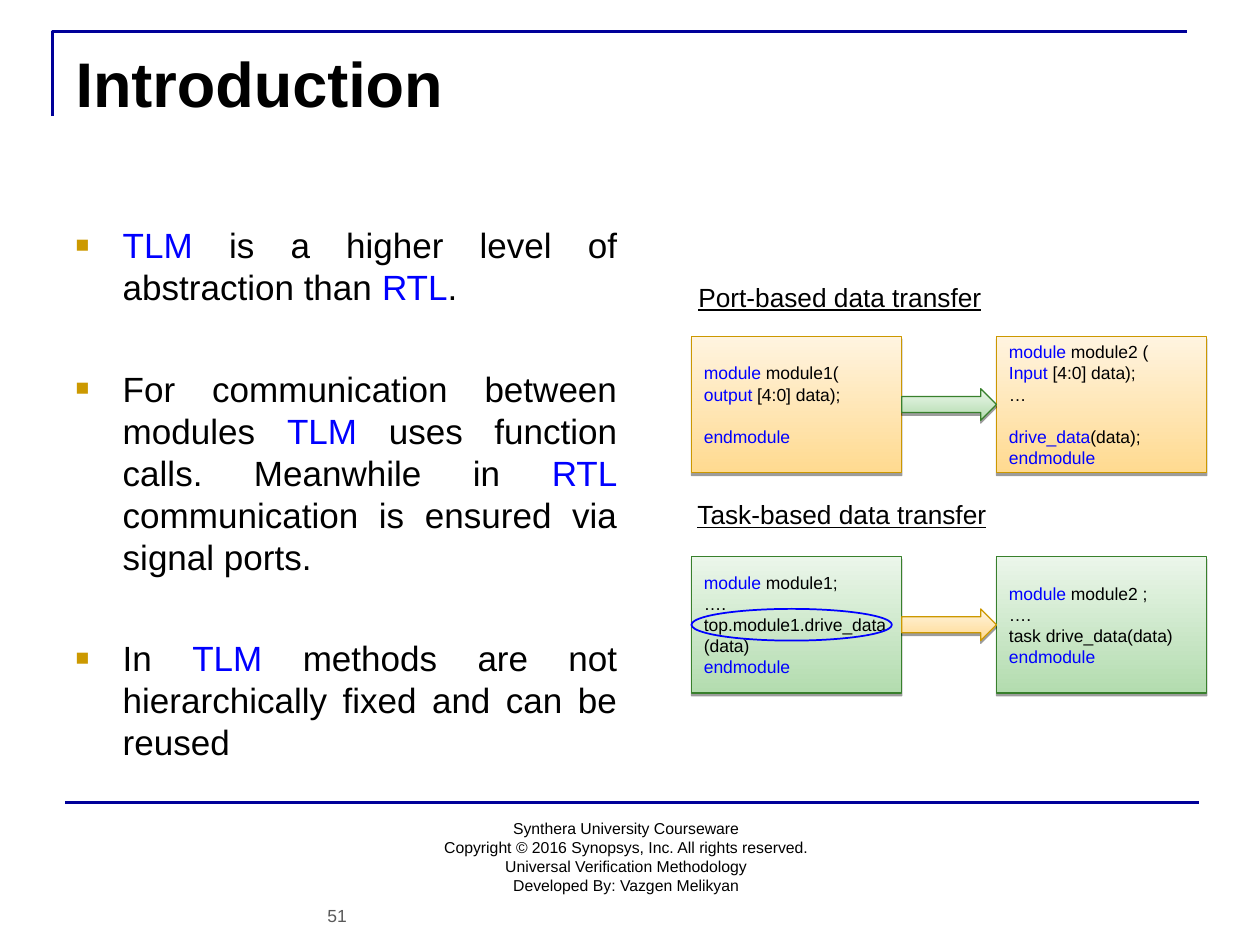
from lxml import etree
from pptx import Presentation
from pptx.dml.color import RGBColor
from pptx.enum.shapes import MSO_CONNECTOR, MSO_SHAPE
from pptx.enum.text import MSO_ANCHOR, MSO_AUTO_SIZE, PP_ALIGN
from pptx.oxml import parse_xml
from pptx.oxml.ns import nsdecls, qn
from pptx.util import Cm, Pt

LEFT, CENTER, JUSTIFY = PP_ALIGN.LEFT, PP_ALIGN.CENTER, PP_ALIGN.JUSTIFY
TOP, MIDDLE = MSO_ANCHOR.TOP, MSO_ANCHOR.MIDDLE
RECTANGLE, ARROW, OVAL = MSO_SHAPE.RECTANGLE, MSO_SHAPE.RIGHT_ARROW, MSO_SHAPE.OVAL

BLACK, BLUE, NAVY, GRAY, GOLD = "000000", "0000FF", "000099", "595959", "CC9900"
# dark end, light end, outline
ORANGE_BOX = ("FFDA90", "FFF4E0", "CC9800")
GREEN_BOX = ("B3DCAF", "EBF6EA", "38802C")

# Words between asterisks are blue; an empty code line is a gap.
TITLE = "Introduction"
BULLETS = [
    "*TLM* is a higher level of abstraction than *RTL*.",
    "For communication between modules *TLM* uses function calls. "
    "Meanwhile in *RTL* communication is ensured via signal ports.",
    "In *TLM* methods are not hierarchically fixed and can be reused",
]
FOOTER = [
    "Synthera University Courseware",
    "Copyright © 2016 Synopsys, Inc. All rights reserved.",
    "Universal Verification Methodology",
    "Developed By: Vazgen Melikyan",
]
PAGE_NUMBER = "51"
DIAGRAMS = [
    {
        "heading": "Port-based data transfer", "heading_at": (13.83, 5.54, 6.8, 0.89),
        "top": 6.78, "boxes": ORANGE_BOX, "arrow": GREEN_BOX,
        "modules": [
            ["*module* module1(", "*output* [4:0] data);", "", "*endmodule*"],
            ["*module* module2 (", "*Input* [4:0] data);", "…", "",
             "*drive_data*(data);", "*endmodule*"],
        ],
    },
    {
        "heading": "Task-based data transfer", "heading_at": (13.81, 9.92, 6.8, 0.89),
        "top": 11.22, "boxes": GREEN_BOX, "arrow": ORANGE_BOX,
        "modules": [
            ["*module* module1;", "….", "top.module1.drive_data(data)", "*endmodule*"],
            ["*module* module2 ;", "….", "task drive_data(data)", "*endmodule*"],
        ],
    },
]
BOX_LEFTS, BOX_WIDTH, BOX_HEIGHT = (13.94, 20.09), 4.24, 2.75
ARROW_HEIGHT, CALL_WIDTH = 0.64, 4.04
CODE_LINE = 12


def rgb(color):
    return RGBColor.from_string(color)


def place(shape, left, top, width, height):
    shape.left, shape.top = Cm(left), Cm(top)
    shape.width, shape.height = Cm(width), Cm(height)


def write(paragraph, text, size, color=BLACK, bold=False, underline=False):
    """Fill a paragraph, turning the words between asterisks blue."""
    for index, part in enumerate(text.split("*")):
        if part:
            run = paragraph.add_run()
            run.text = part
            font = run.font
            font.name, font.size, font.bold = "Arial", Pt(size), bold
            font.underline = underline
            font.color.rgb = rgb(BLUE if index % 2 else color)


def write_lines(text_frame, lines, size, align=LEFT, gap=0, **style):
    space = 0
    paragraph = text_frame.paragraphs[0]
    for number, line in enumerate(lines):
        if not line:
            space = CODE_LINE
            continue
        if number:
            paragraph = text_frame.add_paragraph()
            space += gap
        paragraph.alignment = align
        paragraph.space_before = Pt(space)
        write(paragraph, line, size, **style)
        space = 0


def add_text(slide, box, lines, size, **style):
    text_frame = slide.shapes.add_textbox(*map(Cm, box)).text_frame
    text_frame.word_wrap = True
    write_lines(text_frame, lines, size, **style)


def add_bullet(paragraph):
    properties = paragraph._p.get_or_add_pPr()
    properties.set("marL", str(Cm(0.95)))
    properties.set("indent", str(-Cm(0.95)))
    for xml in (
        f'<a:buClr {nsdecls("a")}><a:srgbClr val="{GOLD}"/></a:buClr>',
        f'<a:buSzPct {nsdecls("a")} val="65000"/>',
        f'<a:buFont {nsdecls("a")} typeface="Arial"/>',
        f'<a:buChar {nsdecls("a")} char="■"/>',
    ):
        properties.append(parse_xml(xml))


def add_gradient_shape(slide, kind, box, colors):
    """Add a shape with a vertical gradient and a small drop shadow."""
    shape = slide.shapes.add_shape(kind, *map(Cm, box))
    dark, light, outline = colors
    shape.fill.gradient()
    shape.fill.gradient_angle = 90
    for stop, color, position in zip(shape.fill.gradient_stops, (dark, light), (0, 1)):
        stop.color.rgb = rgb(color)
        stop.position = position
    shape.line.color.rgb = rgb(outline)
    shape.line.width = Pt(0.75)
    shape.shadow.inherit = False
    shape._element.spPr.find(qn("a:effectLst")).append(parse_xml(
        f'<a:outerShdw {nsdecls("a")} blurRad="0" dist="{Pt(1.6)}" dir="5400000" '
        'rotWithShape="0"><a:srgbClr val="000000"><a:alpha val="38000"/>'
        "</a:srgbClr></a:outerShdw>"))
    return shape


def add_frame_lines(slide):
    builder = slide.shapes.build_freeform(Cm(1.06), Cm(2.34))
    builder.add_line_segments([(Cm(1.06), Cm(0.64)), (Cm(23.92), Cm(0.64))], close=False)
    corner = builder.convert_to_shape()
    corner.fill.background()
    corner.shadow.inherit = False
    rule = slide.shapes.add_connector(
        MSO_CONNECTOR.STRAIGHT, Cm(1.32), Cm(16.18), Cm(24.18), Cm(16.18))
    etree.SubElement(rule._element.spPr, qn("a:effectLst"))
    for shape in (corner, rule):
        shape.line.color.rgb = rgb(NAVY)
        shape.line.width = Pt(1.5)


def fill_placeholders(slide):
    title, body = slide.shapes.title, slide.placeholders[1]
    place(title, 1.27, 0.76, 22.86, 3.17)
    place(body, 1.27, 4.38, 11.43, 11.71)
    for shape in (title, body):
        shape.text_frame.auto_size = MSO_AUTO_SIZE.NONE
        shape.text_frame.vertical_anchor = TOP
    write_lines(title.text_frame, [TITLE], 36, bold=True)
    write_lines(body.text_frame, BULLETS, 20, align=JUSTIFY, gap=34)
    for paragraph in body.text_frame.paragraphs:
        add_bullet(paragraph)


def add_diagram(slide, diagram):
    top = diagram["top"]
    for left, code in zip(BOX_LEFTS, diagram["modules"]):
        box = add_gradient_shape(
            slide, RECTANGLE, (left, top, BOX_WIDTH, BOX_HEIGHT), diagram["boxes"])
        box.text_frame.vertical_anchor = MIDDLE
        write_lines(box.text_frame, code, 10)
    arrow_left = BOX_LEFTS[0] + BOX_WIDTH
    arrow_top = top + (BOX_HEIGHT - ARROW_HEIGHT) / 2
    add_gradient_shape(
        slide, ARROW, (arrow_left, arrow_top, BOX_LEFTS[1] - arrow_left, ARROW_HEIGHT),
        diagram["arrow"])
    add_text(slide, diagram["heading_at"], [diagram["heading"]], 15, underline=True)


def circle_call(slide, top):
    """Ring the call in the middle of the first module."""
    ring = slide.shapes.add_shape(
        OVAL, Cm(BOX_LEFTS[0]), Cm(top + (BOX_HEIGHT - ARROW_HEIGHT) / 2),
        Cm(CALL_WIDTH), Cm(ARROW_HEIGHT))
    ring.fill.background()
    ring.line.color.rgb = rgb(BLUE)
    ring.line.width = Pt(1)
    ring.shadow.inherit = False


def main():
    presentation = Presentation()
    presentation.slide_width, presentation.slide_height = Cm(25.4), Cm(19.05)
    slide = presentation.slides.add_slide(presentation.slide_layouts[1])
    add_frame_lines(slide)
    add_text(slide, (6.27, 16.38, 12.7, 1.78), FOOTER, 9, align=CENTER)
    add_text(slide, (6.35, 18.11, 1.07, 0.69), [PAGE_NUMBER], 10, color=GRAY)
    fill_placeholders(slide)
    for diagram in DIAGRAMS:
        add_diagram(slide, diagram)
    circle_call(slide, DIAGRAMS[1]["top"])
    presentation.save("out.pptx")


if __name__ == "__main__":
    main()
